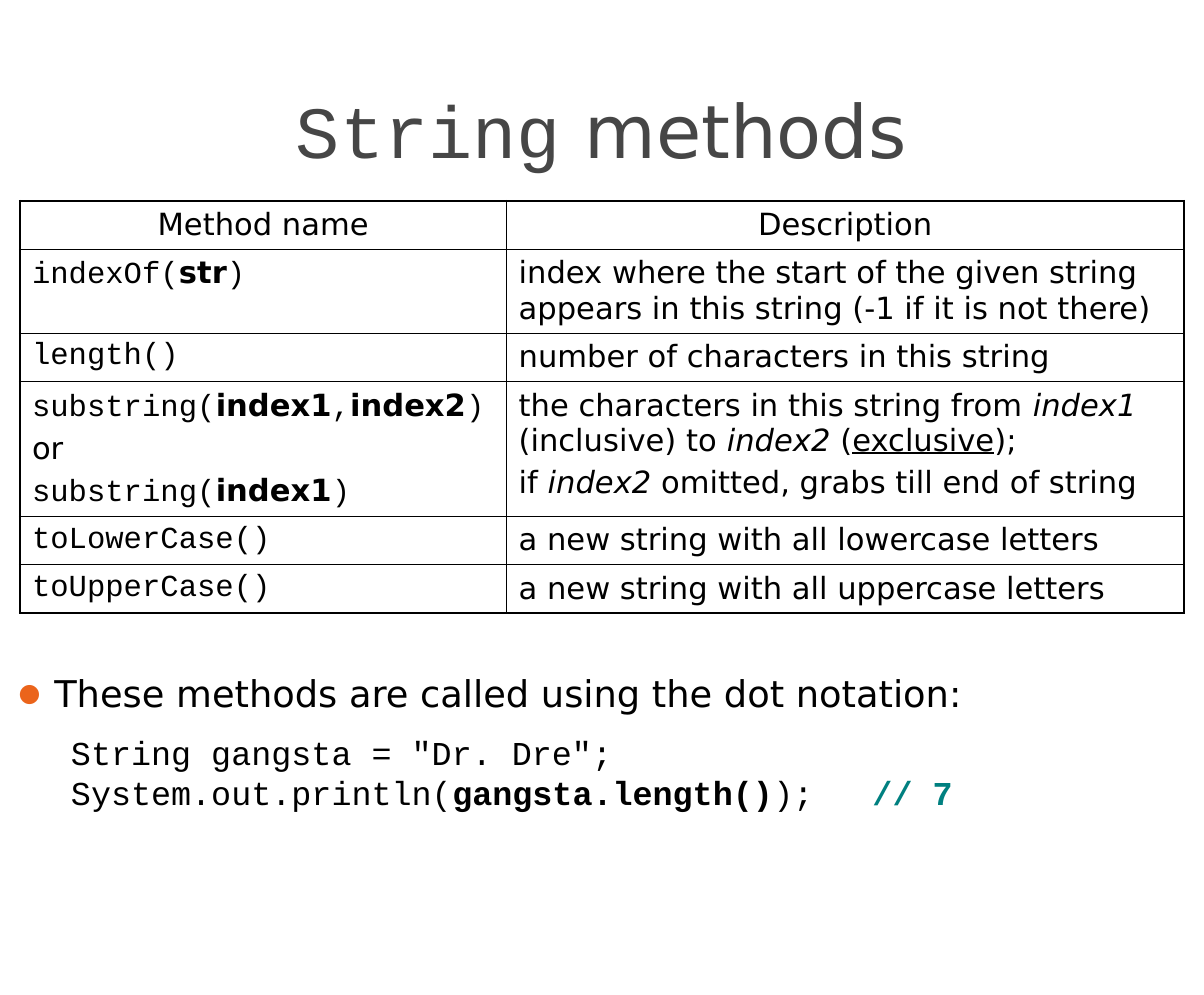
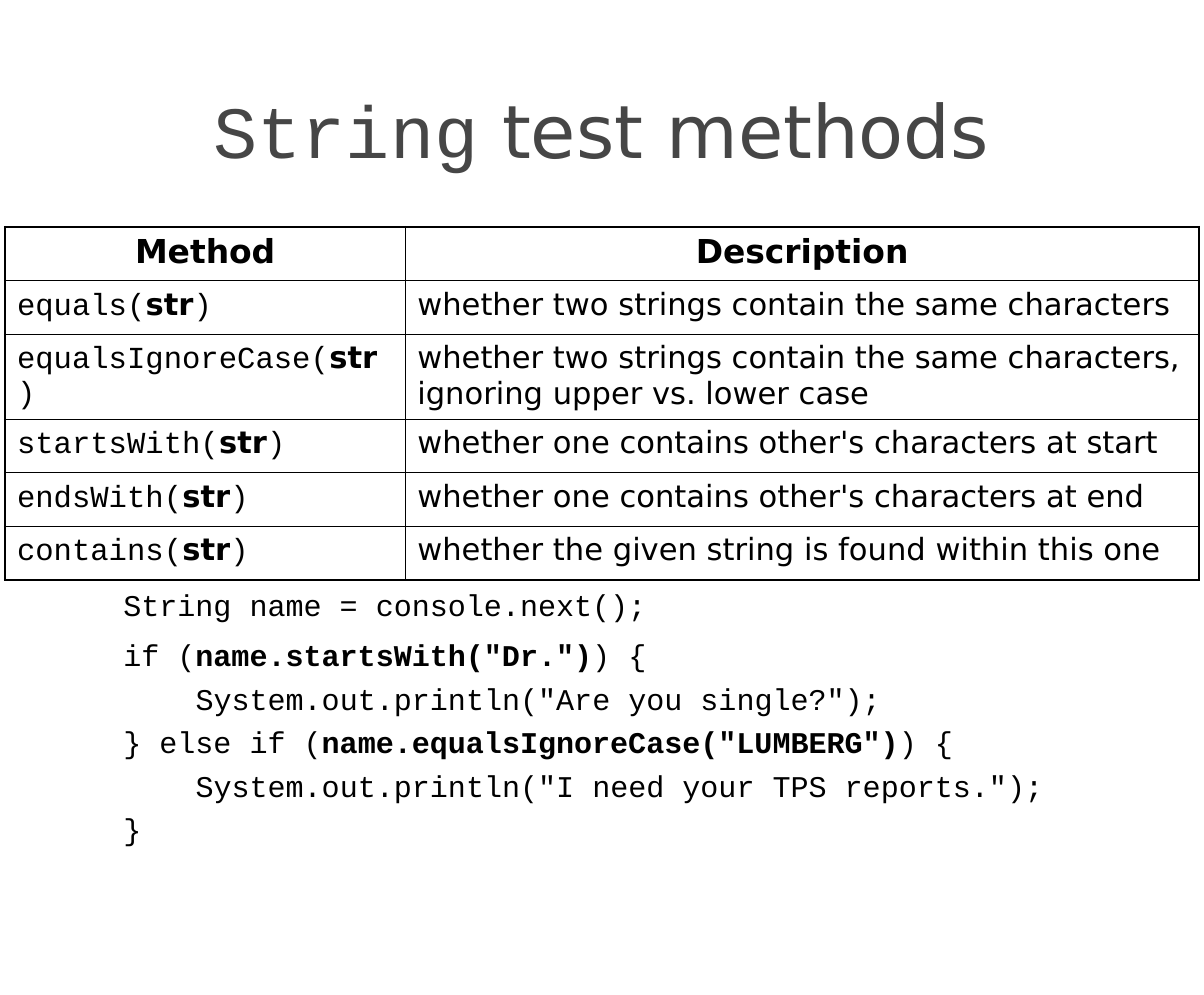
from dataclasses import dataclass

from lxml.etree import SubElement
from pptx import Presentation
from pptx.dml.color import RGBColor
from pptx.enum.text import MSO_ANCHOR as Anchor, MSO_AUTO_SIZE as AutoSize, PP_ALIGN as Align
from pptx.oxml.ns import qn
from pptx.util import Cm, Pt

# Shared style
SANS, MONO = "DejaVu Sans", "Courier New"
BLACK, TITLE_GREY, ORANGE, TEAL = "000000", "464646", "EB641B", "008080"
TITLE_SIZE, CELL_SIZE, BULLET_SIZE = 62.6, 26, 31.3
OUTER_LINE, INNER_LINE = 2.25, 1
CELL_PARAGRAPH_GAP = 5.2
TITLE_ONLY = 5


@dataclass(frozen=True)
class Run:
    text: str
    font: str = SANS
    bold: bool = False
    italic: bool = False
    underline: bool = False
    color: str = BLACK


@dataclass(frozen=True)
class Line:
    runs: list[Run]
    space_before: float = 0
    indent: float = 0  # in characters
    tab: float = 0  # in characters


@dataclass(frozen=True)
class MethodTable:
    left: float
    top: float
    columns: list[float]
    heights: list[float]
    header: list[str]
    header_size: float
    header_bold: bool
    rows: list[tuple[list[list[Run]], list[list[Run]]]]


@dataclass(frozen=True)
class CodeBlock:
    left: float
    top: float
    width: float
    height: float
    size: float
    line_height: float
    lines: list[Line]


def rgb(color: str) -> RGBColor:
    return RGBColor.from_string(color)


def mono(text: str, bold: bool = False, color: str = BLACK) -> Run:
    return Run(text, MONO, bold, color=color)


def call(name: str, *parameters: str) -> list[Run]:
    """Method call in code type, with bold parameter names."""
    runs = [mono(name + "(")]
    for number, parameter in enumerate(parameters):
        if number:
            runs.append(mono(","))
        runs.append(Run(parameter, bold=True))
    return runs + [mono(")")] if parameters else [mono(name + "()")]


def add_runs(paragraph, runs: list[Run], size: float) -> None:
    for item in runs:
        run = paragraph.add_run()
        run.text = item.text
        font = run.font
        font.name, font.size = item.font, Pt(size)
        font.bold, font.italic, font.underline = item.bold, item.italic, item.underline
        font.color.rgb = rgb(item.color)


def next_paragraph(frame, number: int):
    return frame.paragraphs[0] if number == 0 else frame.add_paragraph()


def add_titled_slide(presentation, title_rest: str):
    slide = presentation.slides.add_slide(presentation.slide_layouts[TITLE_ONLY])
    title = slide.shapes.title
    title.left, title.top, title.width, title.height = Cm(1.8), Cm(1.9), Cm(32.5), Cm(3.3)
    frame = title.text_frame
    frame.auto_size, frame.vertical_anchor = AutoSize.NONE, Anchor.BOTTOM
    frame.margin_left = frame.margin_right = frame.margin_bottom = 0
    paragraph = frame.paragraphs[0]
    paragraph.alignment = Align.CENTER
    runs = [mono("String", color=TITLE_GREY), Run(title_rest, color=TITLE_GREY)]
    add_runs(paragraph, runs, TITLE_SIZE)
    return slide


def add_border(cell, side: str, width: float) -> None:
    line = SubElement(cell._tc.get_or_add_tcPr(), qn(f"a:ln{side}"), w=str(Pt(width)))
    fill = SubElement(line, qn("a:solidFill"))
    SubElement(fill, qn("a:srgbClr"), val=BLACK)


def fill_cell(cell, paragraphs: list[list[Run]], size: float, align: Align) -> None:
    cell.margin_left = cell.margin_right = Cm(0.36)
    cell.margin_top = cell.margin_bottom = Cm(0.18)
    for number, runs in enumerate(paragraphs):
        paragraph = next_paragraph(cell.text_frame, number)
        paragraph.alignment = align
        paragraph.space_before = Pt(CELL_PARAGRAPH_GAP if number else 0)
        add_runs(paragraph, runs, size)


def add_method_table(slide, spec_table: MethodTable) -> None:
    header = [[[Run(text, bold=spec_table.header_bold)]] for text in spec_table.header]
    rows = [header, *spec_table.rows]
    last_row, last_column = len(rows) - 1, len(header) - 1
    table = slide.shapes.add_table(
        len(rows), len(header), Cm(spec_table.left), Cm(spec_table.top),
        Cm(sum(spec_table.columns)), Cm(sum(spec_table.heights))).table
    table.first_row = table.horz_banding = False
    for column, width in zip(table.columns, spec_table.columns):
        column.width = Cm(width)
    for row, height in zip(table.rows, spec_table.heights):
        row.height = Cm(height)
    for r, contents in enumerate(rows):
        for c, paragraphs in enumerate(contents):
            cell = table.cell(r, c)
            size = CELL_SIZE if r else spec_table.header_size
            fill_cell(cell, paragraphs, size, Align.LEFT if r else Align.CENTER)
            # Thick outside edge, thin inner grid
            edges = {"L": c == 0, "R": c == last_column, "T": r == 0, "B": r == last_row}
            for side, is_outer in edges.items():
                add_border(cell, side, OUTER_LINE if is_outer else INNER_LINE)
            cell.fill.background()


def add_text_frame(slide, left: float, top: float, width: float, height: float):
    frame = slide.shapes.add_textbox(Cm(left), Cm(top), Cm(width), Cm(height)).text_frame
    frame.word_wrap = True
    frame.margin_left = frame.margin_right = frame.margin_top = frame.margin_bottom = 0
    return frame


def add_bullet(slide, left: float, top: float, text: str) -> None:
    paragraph = add_text_frame(slide, left, top, 34, 1.5).paragraphs[0]
    add_runs(paragraph, [Run(text)], BULLET_SIZE)
    properties = paragraph._p.get_or_add_pPr()
    properties.set("marL", str(Cm(1.07)))
    properties.set("indent", str(-Cm(1.07)))
    color = SubElement(properties, qn("a:buClr"))
    SubElement(color, qn("a:srgbClr"), val=ORANGE)
    SubElement(properties, qn("a:buSzPct"), val="68000")
    SubElement(properties, qn("a:buFont"), typeface=SANS)
    SubElement(properties, qn("a:buChar"), char="●")


def add_code(slide, block: CodeBlock) -> None:
    frame = add_text_frame(slide, block.left, block.top, block.width, block.height)
    character = 0.6 * block.size  # advance of the fixed-width font
    for number, line in enumerate(block.lines):
        paragraph = next_paragraph(frame, number)
        paragraph.line_spacing = Pt(block.line_height)
        paragraph.space_before = Pt(line.space_before)
        add_runs(paragraph, line.runs, block.size)
        properties = paragraph._p.get_or_add_pPr()
        properties.set("marL", str(Pt(line.indent * character)))
        if line.tab:
            stops = SubElement(properties, qn("a:tabLst"))
            SubElement(stops, qn("a:tab"), pos=str(Pt(line.tab * character)), algn="l")


# Slide contents
STRING_METHODS = MethodTable(
    0.6, 6.03, [14.6, 20.32], [1.45, 2.52, 1.45, 4.04, 1.45, 1.45],
    ["Method name", "Description"], 26, False,
    [
        ([call("indexOf", "str")],
         [[Run("index where the start of the given string appears in this string "
               "(-1 if it is not there)")]]),
        ([call("length")], [[Run("number of characters in this string")]]),
        ([call("substring", "index1", "index2"), [Run("or")], call("substring", "index1")],
         [[Run("the characters in this string from "), Run("index1", italic=True),
           Run(" (inclusive) to "), Run("index2", italic=True), Run(" ("),
           Run("exclusive", underline=True), Run(");")],
          [Run("if "), Run("index2", italic=True),
           Run(" omitted, grabs till end of string")]]),
        ([call("toLowerCase")], [[Run("a new string with all lowercase letters")]]),
        ([call("toUpperCase")], [[Run("a new string with all uppercase letters")]]),
    ])

TEST_METHODS = MethodTable(
    0.15, 6.81, [12.01, 23.81], [1.61, 1.61, 2.54, 1.61, 1.61, 1.61],
    ["Method", "Description"], 28, True,
    [([call(name, "str")], [[Run(description)]]) for name, description in [
        ("equals", "whether two strings contain the same characters"),
        ("equalsIgnoreCase",
         "whether two strings contain the same characters, ignoring upper vs. lower case"),
        ("startsWith", "whether one contains other's characters at start"),
        ("endsWith", "whether one contains other's characters at end"),
        ("contains", "whether the given string is found within this one"),
    ]])

LENGTH_CODE = CodeBlock(2.13, 21.98, 33, 2.5, 28.4, 34, [
    Line([mono('String gangsta = "Dr. Dre";')]),
    Line([mono("System.out.println("), mono("gangsta.length()", bold=True),
          mono(");\t"), mono("// 7", bold=True, color=TEAL)], tab=40),
])

TEST_CODE = CodeBlock(3.7, 17.38, 31, 8, 25.6, 37, [
    Line([mono("String name = console.next();")]),
    Line([mono("if ("), mono('name.startsWith("Dr.")', bold=True), mono(") {")],
         space_before=5.5),
    Line([mono('System.out.println("Are you single?");')], indent=4),
    Line([mono("} else if ("), mono('name.equalsIgnoreCase("LUMBERG")', bold=True),
          mono(") {")]),
    Line([mono('System.out.println("I need your TPS reports.");')], indent=4),
    Line([mono("}")]),
])


def main() -> None:
    presentation = Presentation()
    presentation.slide_width, presentation.slide_height = Cm(36.12), Cm(29.85)

    # String methods
    slide = add_titled_slide(presentation, " methods")
    add_method_table(slide, STRING_METHODS)
    add_bullet(slide, 0.56, 20.12, "These methods are called using the dot notation:")
    add_code(slide, LENGTH_CODE)

    # String test methods
    slide = add_titled_slide(presentation, " test methods")
    add_method_table(slide, TEST_METHODS)
    add_code(slide, TEST_CODE)

    presentation.save("out.pptx")


if __name__ == "__main__":
    main()
